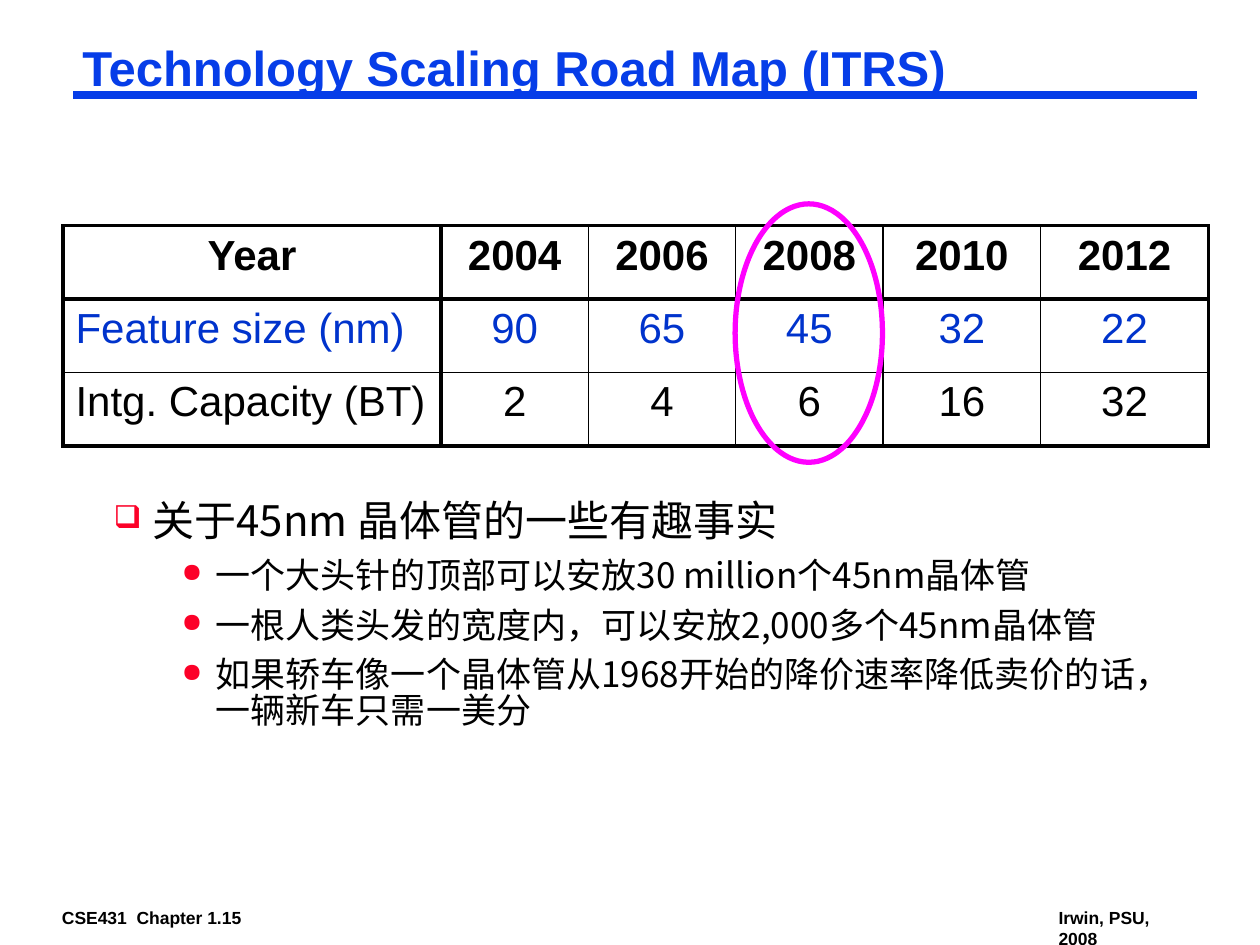
from dataclasses import dataclass

from lxml.etree import SubElement as Sub
from pptx import Presentation
from pptx.dml.color import RGBColor as RGB
from pptx.enum.shapes import MSO_CONNECTOR as Conn, MSO_SHAPE as Kind
from pptx.enum.text import PP_ALIGN as Align
from pptx.oxml.ns import qn
from pptx.util import Cm, Pt


@dataclass(frozen=True)
class Theme:
    ink: str = "000000"
    blue: str = "063DE8"
    cell: str = "0033CC"
    red: str = "FC0128"
    pink: str = "FF00FF"
    latin: str = "Arial"
    han: str = "Noto Sans CJK SC"
    title: int = 28
    head: int = 24
    body: int = 20
    foot: int = 10
    thick: float = 2.25
    thin: float = 1


LOOK = Theme()
COLS = (7.62, 2.97, 2.97, 2.97, 3.18, 3.38)
ROW = 1.48
GRID = (
    ("Year", "2004", "2006", "2008", "2010", "2012"),
    ("Feature size (nm)", "90", "65", "45", "32", "22"),
    ("Intg. Capacity (BT)", "2", "4", "6", "16", "32"),
)
FACTS = (
    "一个大头针的顶部可以安放30 million个45nm晶体管",
    "一根人类头发的宽度内，可以安放2,000多个45nm晶体管",
    "如果轿车像一个晶体管从1968开始的降价速率降低卖价的话，一辆新车只需一美分",
)


def assign(obj, vals):
    for name, val in vals.items():
        setattr(obj, name, val)


def write(para, text, size, color=LOOK.ink, font=LOOK.latin, bold=False, **form):
    """Fill a paragraph with one run; form holds paragraph attributes."""
    assign(para, form)
    run = para.add_run()
    run.text = text
    assign(run.font, {"name": font, "size": Pt(size), "bold": bold})
    run.font.color.rgb = RGB.from_string(color)
    if font == LOOK.han:
        Sub(run.font._element, qn("a:ea"), typeface=font)


def add_box(slide, x, y, w, h, wrap=True):
    frame = slide.shapes.add_textbox(Cm(x), Cm(y), Cm(w), Cm(h)).text_frame
    assign(frame, {
        "word_wrap": wrap,
        "margin_left": Cm(0.18), "margin_right": Cm(0.18),
        "margin_top": Cm(0.08), "margin_bottom": Cm(0.08),
    })
    return frame


def add_rule(slide, x, y, w):
    rule = slide.shapes.add_connector(Conn.STRAIGHT, Cm(x), Cm(y), Cm(x + w), Cm(y))
    rule.line.color.rgb = RGB.from_string(LOOK.blue)
    rule.line.width = Pt(4.5)
    Sub(rule._element.spPr, qn("a:effectLst"))


def add_ring(slide, x, y, w, h):
    ring = slide.shapes.add_shape(Kind.OVAL, Cm(x), Cm(y), Cm(w), Cm(h))
    ring.shadow.inherit = False
    ring.fill.background()
    ring.line.color.rgb = RGB.from_string(LOOK.pink)
    ring.line.width = Pt(3)


def edge(cell, row, col):
    """Thick lines go round the table, the header row and the label column."""
    ends = (0, len(COLS) - 1), (0, len(GRID) - 1)
    heavy = {"L": col < 2, "R": col in ends[0], "T": row < 2, "B": row in ends[1]}
    props = cell._tc.get_or_add_tcPr()
    for spot, (side, bold) in enumerate(heavy.items()):
        width = Pt(LOOK.thick if bold else LOOK.thin)
        line = Sub(props, qn(f"a:ln{side}"), w=str(int(width)))
        Sub(Sub(line, qn("a:solidFill")), qn("a:srgbClr"), val=LOOK.ink)
        props.insert(spot, line)


def add_grid(slide, x, y):
    table = slide.shapes.add_table(
        len(GRID), len(COLS), Cm(x), Cm(y), Cm(sum(COLS)), Cm(ROW * len(GRID))
    ).table
    assign(table, {"first_row": False, "horz_banding": False})
    for col, width in zip(table.columns, COLS):
        col.width = Cm(width)
    for r, texts in enumerate(GRID):
        table.rows[r].height = Cm(ROW)
        for c, text in enumerate(texts):
            cell = table.cell(r, c)
            cell.fill.background()
            edge(cell, r, c)
            write(cell.text_frame.paragraphs[0], text, LOOK.head,
                  LOOK.cell if r == 1 else LOOK.ink, bold=r == 0,
                  alignment=Align.LEFT if r and not c else Align.CENTER)


def bullet(para, mark, left, hang):
    props = para._p.get_or_add_pPr()
    props.set("marL", str(Cm(left)))
    props.set("indent", str(-Cm(hang)))
    Sub(Sub(props, qn("a:buClr")), qn("a:srgbClr"), val=LOOK.red)
    Sub(props, qn("a:buSzPct"), val="75000")
    Sub(props, qn("a:buChar"), char=mark)


def add_facts(slide):
    frame = add_box(slide, 2.11, 10.01, 21.59, 5)
    para = frame.paragraphs[0]
    write(para, "关于45nm 晶体管的一些有趣事实", LOOK.head, font=LOOK.han,
          line_spacing=0.9)
    bullet(para, "❑", 0.79, 0.79)
    for fact in FACTS:
        para = frame.add_paragraph()
        write(para, fact, LOOK.body, font=LOOK.han, level=1,
              line_spacing=0.85, space_before=Pt(8))
        bullet(para, "●", 2.06, 0.69)


def main():
    deck = Presentation()
    assign(deck, {"slide_width": Cm(25.4), "slide_height": Cm(19.05)})
    slide = deck.slides.add_slide(deck.slide_layouts[6])
    for text, x, w, h, wrap in (
        ("CSE431  Chapter 1.15", 1.07, 4.04, 0.56, False),
        ("Irwin, PSU, 2008", 21.16, 3.05, 0.99, True),
    ):
        frame = add_box(slide, x, 18.21, w, h, wrap)
        write(frame.paragraphs[0], text, LOOK.foot, bold=True)
    add_rule(slide, 1.48, 1.91, 22.65)
    title = add_box(slide, 1.48, 0.84, 22.65, 1.17)
    write(title.paragraphs[0], "Technology Scaling Road Map (ITRS)", LOOK.title,
          LOOK.blue, bold=True, line_spacing=0.87)
    add_grid(slide, 1.27, 4.55)
    add_facts(slide)
    add_ring(slide, 14.82, 4.11, 2.97, 5.21)
    deck.save("out.pptx")


if __name__ == "__main__":
    main()
